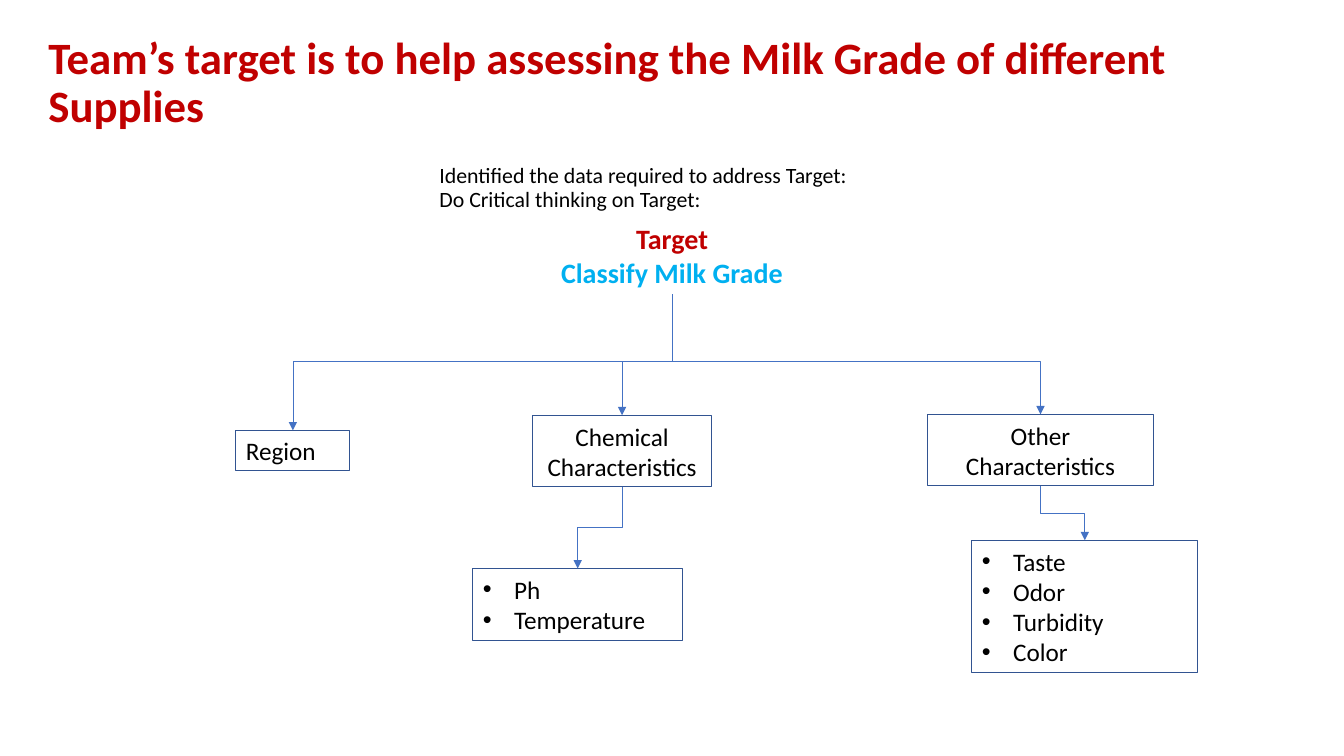
from lxml.etree import SubElement
from pptx import Presentation
from pptx.dml.color import RGBColor
from pptx.enum.shapes import MSO_CONNECTOR, MSO_SHAPE
from pptx.enum.text import MSO_ANCHOR, MSO_AUTO_SIZE, PP_ALIGN
from pptx.oxml.ns import qn
from pptx.util import Inches, Pt

# Content
TITLE = "Team’s target is to help assessing the Milk Grade of different Supplies"
INTRO = ["Identified the data required to address Target:",
         "Do Critical thinking on Target:"]
TARGET = [("Target", "red"), ("Classify Milk Grade", "cyan")]
# name: (lines, style, (left, top, width, height))
BOXES = {
    "region": (["Region"], "left", (2.34, 4.27, 1.13, 0.4)),
    "chemical": (["Chemical Characteristics"], "center", (5.28, 4.12, 1.78, 0.71)),
    "other": (["Other Characteristics"], "center", (9.2, 4.11, 2.24, 0.71)),
    "chemical list": (["Ph", "Temperature"], "bullet", (4.69, 5.64, 2.08, 0.71)),
    "other list": (["Taste", "Odor", "Turbidity", "Color"], "bullet",
                   (9.64, 5.36, 2.24, 1.31)),
}
# parent, child, drop from the parent to the bend (None: halfway)
LINKS = [
    ("target", "region", 0.67),
    ("target", "chemical", 0.67),
    ("target", "other", 0.67),
    ("chemical", "chemical list", None),
    ("other", "other list", None),
]
COLORS = {"red": "C00000", "cyan": "00B0F0", "black": "000000",
          "border": "325491", "link": "4472C4"}
FONT = "Calibri"
INDENT = Inches(0.31)
BOTTOM, TOP = 2, 0


def color(name):
    return RGBColor.from_string(COLORS[name])


def add_run(paragraph, text, size, color_name, bold=False):
    run = paragraph.add_run()
    run.text = text
    run.font.name, run.font.size, run.font.bold = FONT, Pt(size), bold
    run.font.color.rgb = color(color_name)


def paragraphs_for(frame, count):
    return [frame.paragraphs[0]] + [frame.add_paragraph() for _ in range(count - 1)]


def add_text_box(slide, place):
    text_box = slide.shapes.add_textbox(*map(Inches, place))
    text_box.text_frame.word_wrap = True
    return text_box


def add_bullet(paragraph):
    properties = paragraph._p.get_or_add_pPr()
    properties.set("marL", str(INDENT))
    properties.set("indent", str(-INDENT))
    SubElement(properties, qn("a:buFont")).set("typeface", "Arial")
    SubElement(properties, qn("a:buChar")).set("char", "•")


def add_box(slide, lines, style, place):
    box = slide.shapes.add_shape(MSO_SHAPE.RECTANGLE, *map(Inches, place))
    box.shadow.inherit = False
    box.fill.background()
    box.line.color.rgb = color("border")
    box.line.width = Pt(0.75)
    frame = box.text_frame
    frame.word_wrap = True
    frame.auto_size = MSO_AUTO_SIZE.SHAPE_TO_FIT_TEXT
    for paragraph, line in zip(paragraphs_for(frame, len(lines)), lines):
        paragraph.alignment = PP_ALIGN.CENTER if style == "center" else PP_ALIGN.LEFT
        if style == "bullet":
            add_bullet(paragraph)
        add_run(paragraph, line, 18, "black")
    return box


def add_link(slide, parent, child, bend):
    """Elbow that leaves the parent downwards and enters the child from above."""
    start_x, start_y = parent.left + parent.width // 2, parent.top + parent.height
    end_x, end_y = child.left + child.width // 2, child.top
    drop, shift = end_y - start_y, end_x - start_x
    middle_x, middle_y = (start_x + end_x) // 2, (start_y + end_y) // 2
    # The elbow is laid out sideways around its middle, then turned upright
    side = 1 if shift > 0 else -1
    link = slide.shapes.add_connector(MSO_CONNECTOR.ELBOW, 0, 0, 0, 0)
    link.begin_connect(parent, BOTTOM)
    link.end_connect(child, TOP)
    link.begin_x, link.end_x = middle_x + side * drop // 2, middle_x - side * drop // 2
    link.begin_y, link.end_y = middle_y - abs(shift) // 2, middle_y + abs(shift) // 2
    properties = link._element.spPr
    properties.find(qn("a:xfrm")).set("rot", str((270 if side > 0 else 90) * 60000))
    share = Inches(bend) / drop if bend else 0.5
    guide = SubElement(properties.find(qn("a:prstGeom")).find(qn("a:avLst")), qn("a:gd"))
    guide.set("name", "adj1")
    guide.set("fmla", f"val {round(share * 100000)}")
    link.line.color.rgb = color("link")
    link.line.width = Pt(0.5)
    SubElement(properties.find(qn("a:ln")), qn("a:tailEnd")).set("type", "triangle")
    SubElement(properties, qn("a:effectLst"))


def main():
    presentation = Presentation()
    presentation.slide_width, presentation.slide_height = Inches(13.33), Inches(7.5)
    slide = presentation.slides.add_slide(presentation.slide_layouts[5])

    # Title
    title = slide.shapes.title
    title.left, title.top, title.width, title.height = map(
        Inches, (0.38, 0.11, 12.57, 1.45))
    frame = title.text_frame
    frame.word_wrap = True
    frame.auto_size = MSO_AUTO_SIZE.NONE
    frame.vertical_anchor = MSO_ANCHOR.MIDDLE
    paragraph = frame.paragraphs[0]
    paragraph.alignment, paragraph.line_spacing = PP_ALIGN.LEFT, 0.9
    add_run(paragraph, TITLE, 32, "red", bold=True)

    # Introduction
    frame = add_text_box(slide, (4.26, 1.41, 4.51, 0.92)).text_frame
    frame.vertical_anchor = MSO_ANCHOR.MIDDLE
    paragraph = frame.paragraphs[0]
    paragraph.line_spacing = 0.9
    for index, line in enumerate(INTRO):
        if index:
            paragraph.add_line_break()
        add_run(paragraph, line, 15.6, "black")

    # Tree nodes
    target = add_text_box(slide, (5.32, 2.15, 2.69, 0.77))
    frame = target.text_frame
    frame.auto_size = MSO_AUTO_SIZE.SHAPE_TO_FIT_TEXT
    for paragraph, (line, name) in zip(paragraphs_for(frame, len(TARGET)), TARGET):
        paragraph.alignment = PP_ALIGN.CENTER
        add_run(paragraph, line, 20, name, bold=True)
    nodes = {"target": target}
    for name, (lines, style, place) in BOXES.items():
        nodes[name] = add_box(slide, lines, style, place)

    # Tree links
    for parent, child, bend in LINKS:
        add_link(slide, nodes[parent], nodes[child], bend)

    presentation.save("out.pptx")


if __name__ == "__main__":
    main()
